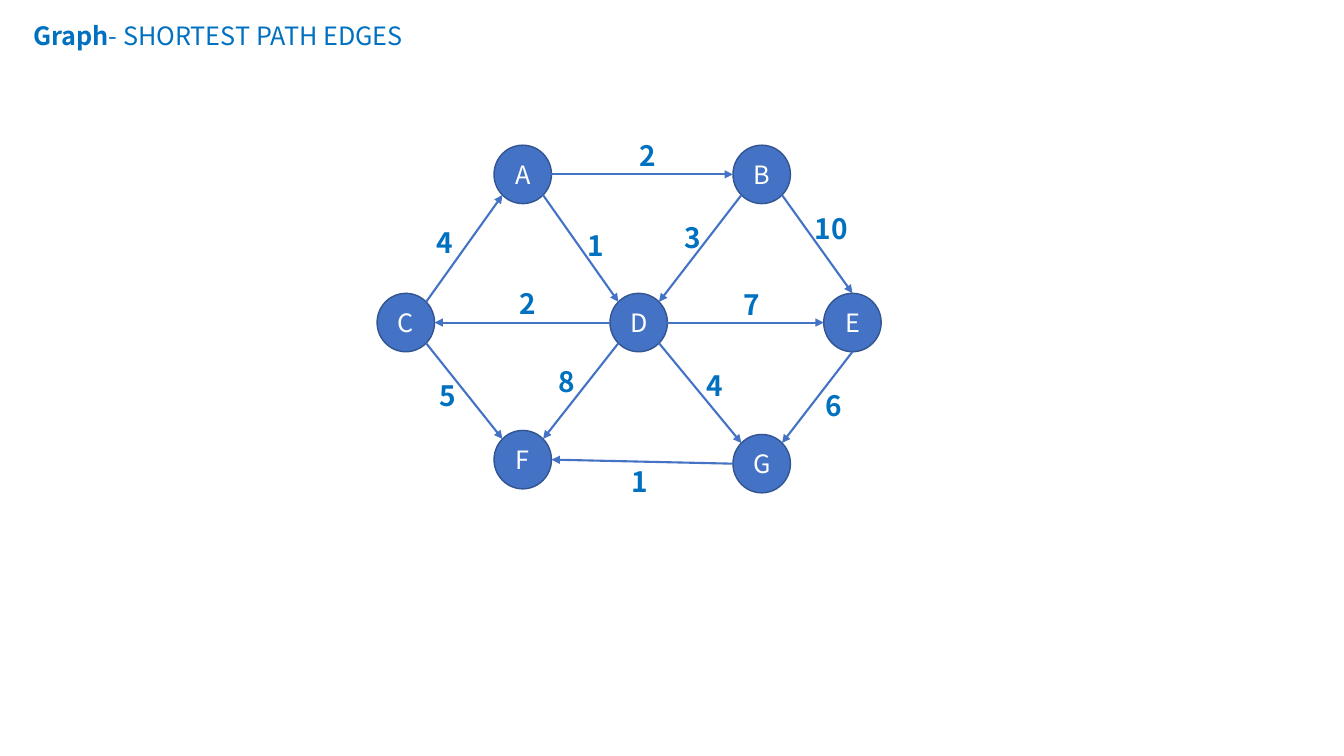
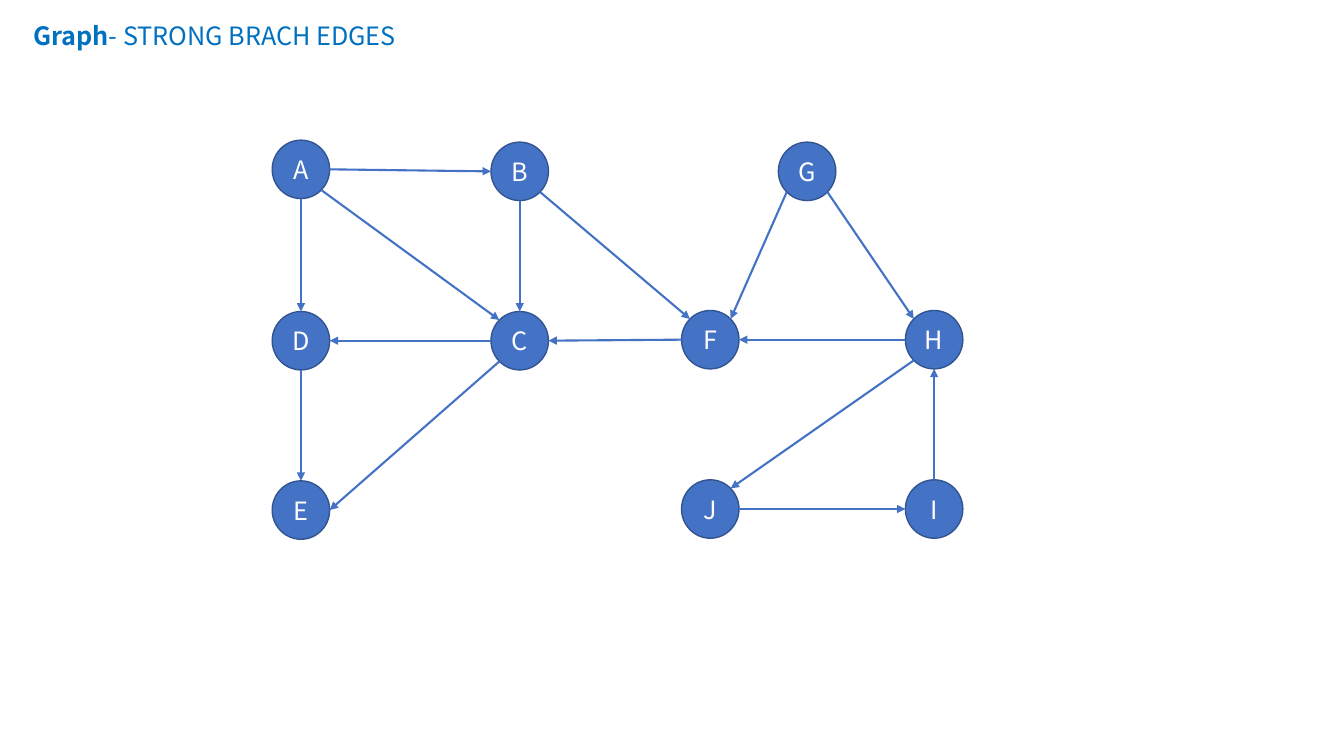
from dataclasses import dataclass
from math import cos, radians, sin
from typing import NamedTuple

from pptx import Presentation
from pptx.dml.color import RGBColor
from pptx.enum import shapes, text
from pptx.oxml.ns import qn
from pptx.slide import Slide
from pptx.text.text import TextFrame, _Paragraph
from pptx.util import Inches, Pt
from lxml import etree

# Shared style
FONT = "Noto Sans CJK SC"
BLUE, OUTLINE, ACCENT, WHITE = "4472C4", "325491", "0070C0", "FFFFFF"
NODE_W, NODE_H = 0.57, 0.58
ANGLES = {"E": 0, "SE": 45, "S": 90, "SW": 135, "W": 180, "NW": 225, "N": 270, "NE": 315}


class Point(NamedTuple):
    x: float
    y: float


class Edge(NamedTuple):
    """An arrow between two nodes, leaving and arriving at compass sides."""
    start: str
    start_side: str
    end: str
    end_side: str
    weight: str = ""
    label: Point = Point(0, 0)


@dataclass
class Graph:
    heading: str
    nodes: dict[str, Point]  # top left corner of each node
    edges: list[Edge]


# Content
SHORTEST_PATH = Graph(
    "- SHORTEST PATH EDGES",
    {
        "A": Point(4.9, 1.44), "B": Point(7.27, 1.44),
        "C": Point(3.74, 2.91), "D": Point(6.05, 2.91), "E": Point(8.17, 2.91),
        "F": Point(4.9, 4.27), "G": Point(7.27, 4.31),
    },
    [
        Edge("A", "SE", "D", "NW", "1", Point(5.73, 2.22)),
        Edge("A", "E", "B", "W", "2", Point(6.24, 1.32)),
        Edge("B", "SW", "D", "NE", "3", Point(6.69, 2.14)),
        Edge("B", "SE", "E", "N", "10", Point(7.98, 2.05)),
        Edge("E", "S", "G", "NE", "6", Point(8.09, 3.81)),
        Edge("D", "SW", "F", "NE", "8", Point(5.44, 3.57)),
        Edge("C", "NE", "A", "SW", "4", Point(4.23, 2.19)),
        Edge("D", "SE", "G", "NW", "4", Point(6.91, 3.61)),
        Edge("D", "W", "C", "E", "2", Point(5.05, 2.79)),
        Edge("G", "W", "F", "E", "1", Point(6.17, 4.56)),
        Edge("D", "E", "E", "W", "7", Point(7.28, 2.8)),
        Edge("C", "SE", "F", "NW", "5", Point(4.26, 3.71)),
    ],
)

STRONG_BRANCH = Graph(
    "- STRONG BRACH EDGES",
    {
        "A": Point(2.7, 1.39), "B": Point(4.87, 1.41), "G": Point(7.72, 1.41),
        "D": Point(2.7, 3.09), "C": Point(4.87, 3.09),
        "F": Point(6.76, 3.08), "H": Point(8.98, 3.08),
        "E": Point(2.7, 4.77), "J": Point(6.76, 4.76), "I": Point(8.98, 4.76),
    },
    [
        Edge("A", "SE", "C", "NW"), Edge("A", "E", "B", "W"), Edge("A", "S", "D", "N"),
        Edge("B", "SE", "F", "NW"), Edge("B", "S", "C", "N"),
        Edge("C", "W", "D", "E"), Edge("C", "SW", "E", "E"),
        Edge("D", "S", "E", "N"), Edge("F", "W", "C", "E"),
        Edge("G", "SW", "F", "NE"), Edge("G", "SE", "H", "NW"),
        Edge("H", "W", "F", "E"), Edge("H", "SW", "J", "NE"),
        Edge("I", "N", "H", "S"), Edge("J", "E", "I", "W"),
    ],
)


# Helpers
def rgb(value: str) -> RGBColor:
    return RGBColor.from_string(value)


def add_run(p: _Paragraph, words: str, size: int, color: str, bold: bool = False) -> None:
    r = p.add_run()
    r.text = words
    r.font.name, r.font.size, r.font.bold = FONT, Pt(size), bold
    r.font.color.rgb = rgb(color)


def fit_to_text(tf: TextFrame) -> None:
    tf.word_wrap = True
    tf.auto_size = text.MSO_AUTO_SIZE.SHAPE_TO_FIT_TEXT
    tf.vertical_anchor = text.MSO_ANCHOR.TOP


def side_point(corner: Point, side: str) -> Point:
    angle = radians(ANGLES[side])
    return Point(corner.x + NODE_W / 2 * (1 + cos(angle)),
                 corner.y + NODE_H / 2 * (1 + sin(angle)))


# Parts of a slide
def add_title(s: Slide, heading: str) -> None:
    title = s.shapes.title
    title.left, title.top = Inches(0.23), Inches(0.15)
    title.width, title.height = Inches(5.5), Inches(0.4)
    fit_to_text(title.text_frame)
    p = title.text_frame.paragraphs[0]
    p.alignment = text.PP_ALIGN.LEFT
    add_run(p, "Graph", 18, ACCENT, bold=True)
    add_run(p, heading, 18, ACCENT)


def add_node(s: Slide, letter: str, corner: Point) -> None:
    sp = s.shapes.add_shape(shapes.MSO_SHAPE.OVAL, Inches(corner.x), Inches(corner.y),
                            Inches(NODE_W), Inches(NODE_H))
    sp.shadow.inherit = False
    sp.fill.solid()
    sp.fill.fore_color.rgb = rgb(BLUE)
    sp.line.color.rgb = rgb(OUTLINE)
    sp.line.width = Pt(1)
    sp.text_frame.vertical_anchor = text.MSO_ANCHOR.MIDDLE
    p = sp.text_frame.paragraphs[0]
    p.alignment = text.PP_ALIGN.CENTER
    add_run(p, letter, 18, WHITE)


def add_edge(s: Slide, edge: Edge, nodes: dict[str, Point]) -> None:
    start = side_point(nodes[edge.start], edge.start_side)
    end = side_point(nodes[edge.end], edge.end_side)
    arrow = s.shapes.add_connector(shapes.MSO_CONNECTOR.STRAIGHT, Inches(start.x),
                                   Inches(start.y), Inches(end.x), Inches(end.y))
    arrow.line.color.rgb = rgb(BLUE)
    arrow.line.width = Pt(1.5)
    props = arrow._element.spPr
    etree.SubElement(props.find(qn("a:ln")), qn("a:tailEnd"), type="triangle")
    etree.SubElement(props, qn("a:effectLst"))


def add_weight(s: Slide, edge: Edge) -> None:
    width = 0.25 + 0.22 * len(edge.weight)
    box = s.shapes.add_textbox(Inches(edge.label.x), Inches(edge.label.y),
                               Inches(width), Inches(0.44))
    fit_to_text(box.text_frame)
    add_run(box.text_frame.paragraphs[0], edge.weight, 20, ACCENT, bold=True)


def add_graph_slide(graph: Graph) -> None:
    s = prs.slides.add_slide(prs.slide_layouts.get_by_name("Title Only"))
    add_title(s, graph.heading)
    for letter, corner in graph.nodes.items():
        add_node(s, letter, corner)
    for edge in graph.edges:
        add_edge(s, edge, graph.nodes)
    for edge in graph.edges:
        if edge.weight:
            add_weight(s, edge)


# Build the deck
prs = Presentation()
prs.slide_width, prs.slide_height = Inches(13.33), Inches(7.5)
for graph in (SHORTEST_PATH, STRONG_BRANCH):
    add_graph_slide(graph)
prs.save("out.pptx")
